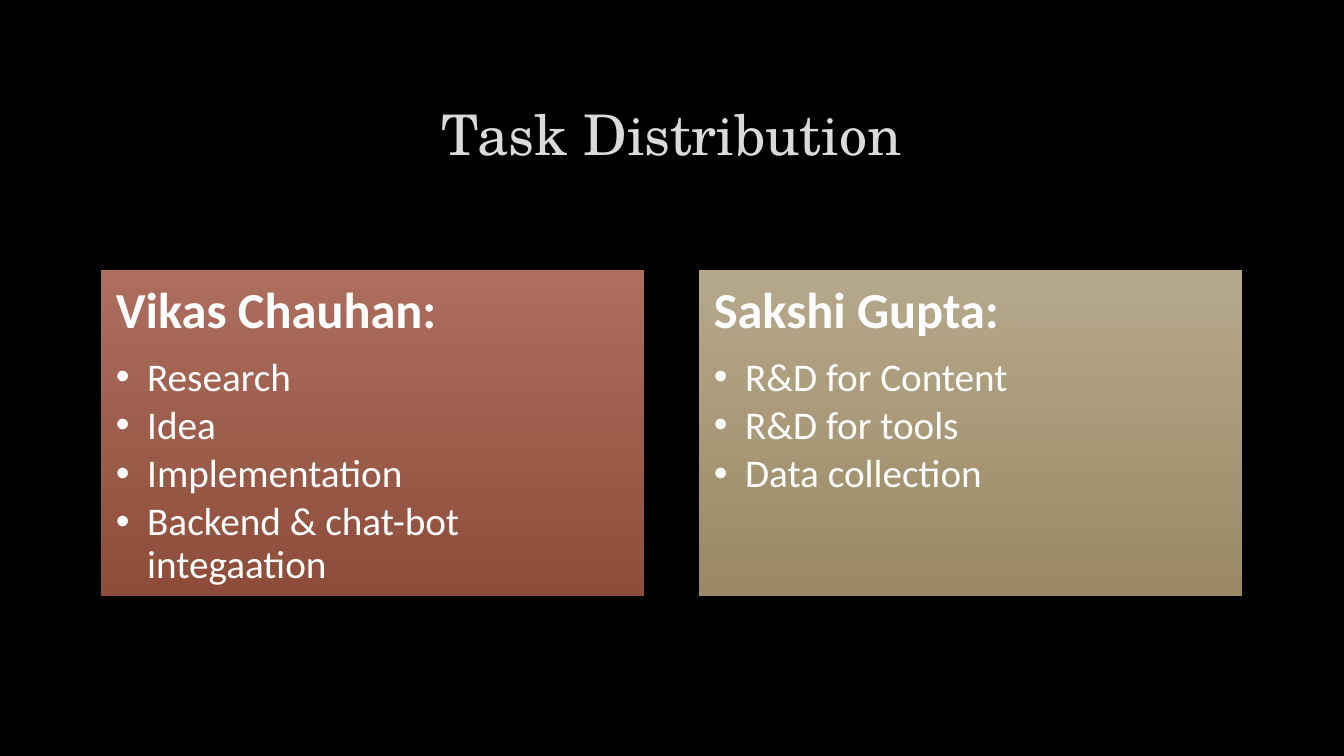
from dataclasses import dataclass

from lxml import etree
from pptx import Presentation
from pptx.dml.color import RGBColor
from pptx.enum import text
from pptx.oxml import ns
from pptx.util import Inches, Pt

BLACK = RGBColor(0x00, 0x00, 0x00)
WHITE = RGBColor(0xFF, 0xFF, 0xFF)
SILVER = RGBColor(0xDA, 0xDA, 0xDA)
RUST_LIGHT = RGBColor(0xAD, 0x6E, 0x5E)
RUST_DARK = RGBColor(0x8E, 0x4D, 0x3A)
SAND_LIGHT = RGBColor(0xB6, 0xA8, 0x8B)
SAND_DARK = RGBColor(0x9A, 0x89, 0x64)

MARGIN = 1
CARD_PITCH = 5.93
CARD_INSET = 0.15
BULLET_INDENT = 0.31


@dataclass
class Card:
    member: str
    tasks: list[str]
    top_color: RGBColor
    bottom_color: RGBColor


CARDS = [
    Card("Vikas Chauhan:",
         ["Research", "Idea", "Implementation", "Backend & chat-bot integaation"],
         RUST_LIGHT, RUST_DARK),
    Card("Sakshi Gupta:",
         ["R&D for Content", "R&D for tools", "Data collection"],
         SAND_LIGHT, SAND_DARK),
]


def place(shape, left: float, top: float, width: float, height: float) -> None:
    shape.left, shape.top = Inches(left), Inches(top)
    shape.width, shape.height = Inches(width), Inches(height)


def set_font(paragraph, name: str, size: float, color: RGBColor, bold: bool = False) -> None:
    font = paragraph.font
    font.name, font.size, font.bold = name, Pt(size), bold
    font.color.rgb = color


def set_bullet(paragraph, bulleted: bool) -> None:
    properties = paragraph._p.get_or_add_pPr()
    indent = Inches(BULLET_INDENT) if bulleted else 0
    properties.set("marL", str(indent))
    properties.set("indent", str(-indent))
    if bulleted:
        etree.SubElement(properties, ns.qn("a:buChar")).set("char", "•")
    else:
        etree.SubElement(properties, ns.qn("a:buNone"))


def write_title(shape, wording: str) -> None:
    place(shape, MARGIN, 0.67, 11.32, 1.38)
    frame = shape.text_frame
    frame.text = wording
    frame.auto_size = text.MSO_AUTO_SIZE.NONE
    frame.vertical_anchor = text.MSO_ANCHOR.MIDDLE
    paragraph = frame.paragraphs[0]
    paragraph.alignment = text.PP_ALIGN.CENTER
    paragraph.line_spacing = 0.9
    set_font(paragraph, "TeX Gyre Schola", 40, SILVER)


def write_card(shape, card: Card, left: float) -> None:
    place(shape, left, 2.68, 5.39, 3.23)
    shape.fill.gradient()
    shape.fill.gradient_angle = 270
    for stop, color in zip(shape.fill.gradient_stops, (card.top_color, card.bottom_color)):
        stop.color.rgb = color

    frame = shape.text_frame
    frame.text = "\n".join([card.member, *card.tasks])
    frame.word_wrap = True
    frame.auto_size = text.MSO_AUTO_SIZE.NONE
    frame.vertical_anchor = text.MSO_ANCHOR.TOP
    frame.margin_left = frame.margin_right = Inches(CARD_INSET)
    frame.margin_top = frame.margin_bottom = Inches(CARD_INSET)
    for position, paragraph in enumerate(frame.paragraphs):
        heading = position == 0
        paragraph.alignment = text.PP_ALIGN.LEFT
        paragraph.line_spacing = 0.9
        paragraph.space_before = Pt(0)
        paragraph.space_after = Pt(12.6 if heading else 4.2)
        set_bullet(paragraph, not heading)
        set_font(paragraph, "Calibri", 36 if heading else 28, WHITE, heading)


def main() -> None:
    presentation = Presentation()
    presentation.slide_width = Inches(13.33)
    presentation.slide_height = Inches(7.5)
    slide = presentation.slides.add_slide(presentation.slide_layouts.get_by_name("Two Content"))
    slide.background.fill.solid()
    slide.background.fill.fore_color.rgb = BLACK

    title, *bodies = slide.placeholders
    write_title(title, "Task Distribution")
    for column, (body, card) in enumerate(zip(bodies, CARDS)):
        write_card(body, card, MARGIN + column * CARD_PITCH)
    presentation.save("out.pptx")


if __name__ == "__main__":
    main()
